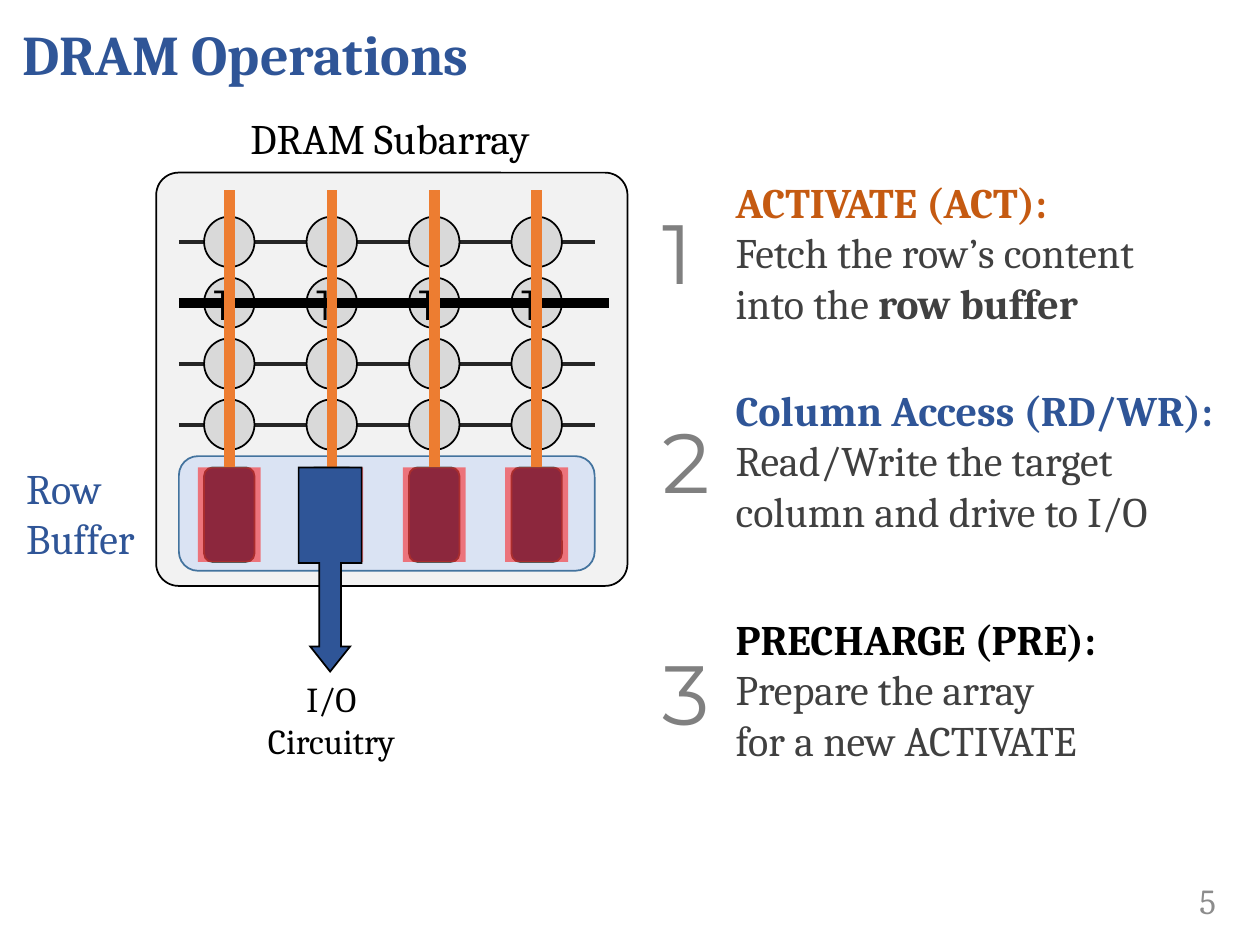
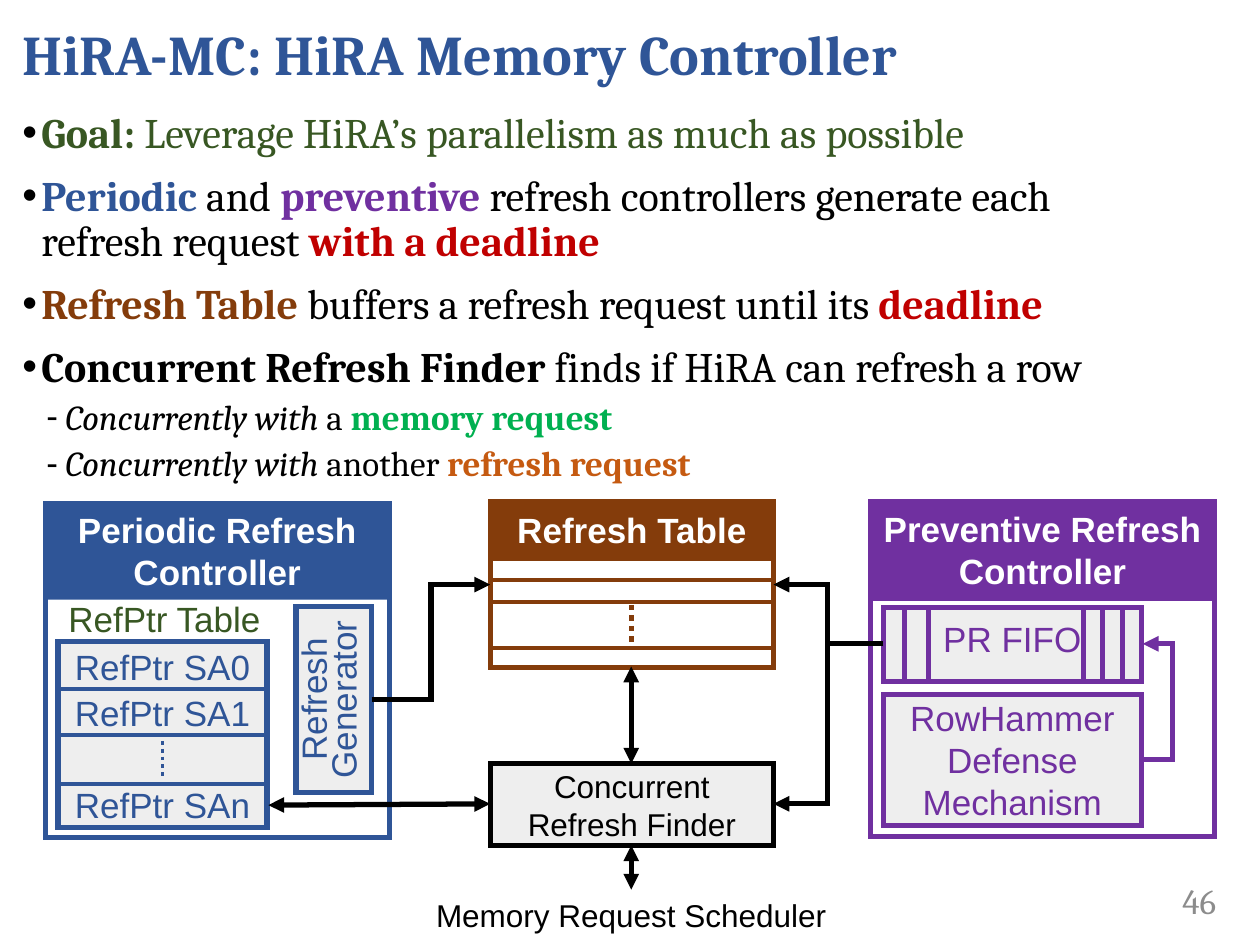
from lxml import etree
from pptx import Presentation
from pptx.dml.color import RGBColor
from pptx.enum import dml, shapes, text
from pptx.oxml import ns
from pptx.util import Inches, Pt

COLORS = {
    "blue": "2F5597", "purple": "7030A0", "brown": "843C0B", "rust": "C55A11",
    "green": "385723", "lime": "00B050", "red": "C00000", "orange": "ED7D31",
    "black": "000000", "white": "FFFFFF", "ink": "404040", "wire": "262626",
    "number": "8C8C8C", "step": "808080", "panel": "EEEEEE", "array": "F2F2F2",
    "buffer": "DAE3F3", "buffer edge": "43739E", "cell": "D9D9D9",
    "sense amp": "1F4E79", "amp edge": "595959", "highlight": "FF0000",
}
SERIF, SANS, DIGITS = "Cambria", "Arial", "Montserrat"
CENTER, RIGHT = text.PP_ALIGN.CENTER, text.PP_ALIGN.RIGHT
TOP, MIDDLE = text.MSO_ANCHOR.TOP, text.MSO_ANCHOR.MIDDLE
RECT = shapes.MSO_SHAPE.RECTANGLE
ROUNDED = shapes.MSO_SHAPE.ROUNDED_RECTANGLE


def rgb(name):
    return RGBColor.from_string(COLORS[name])


def child(parent, tag, **attributes):
    return etree.SubElement(parent, ns.qn(tag), attributes)


def style_line(line, color, width, dotted=False):
    line.color.rgb = rgb(color)
    line.width = Pt(width)
    if dotted:
        line.dash_style = dml.MSO_LINE.ROUND_DOT
    outline = line._get_or_add_ln()
    child(outline, "a:miter", lim="800000")
    return outline


def add_bullet(paragraph, mark, indent):
    properties = paragraph._p.get_or_add_pPr()
    properties.set("marL", str(Inches(indent)))
    properties.set("indent", str(Inches(-0.15)))
    child(child(properties, "a:buClr"), "a:srgbClr", val=COLORS["black"])
    child(properties, "a:buFont", typeface=SANS)
    child(properties, "a:buChar", char=mark)


def set_font(font, color=None, bold=None, italic=None):
    if color:
        font.color.rgb = rgb(color)
    if bold is not None:
        font.bold = bold
    if italic is not None:
        font.italic = italic


def fill_paragraph(paragraph, content, size, color, face, bold=None):
    paragraph.font.size = Pt(size)
    paragraph.font.name = face
    set_font(paragraph.font, color, bold)
    runs = [(content, {})] if isinstance(content, str) else content
    for words, style in runs:
        for index, line in enumerate(words.split("\n")):
            if index:
                paragraph.add_line_break()
            if line:
                run = paragraph.add_run()
                run.text = line
                set_font(run.font, **style)


def write(shape, paragraphs, size, color, face=SERIF, bold=None, align=None,
          anchor=TOP, inset=0.1, spacing=None):
    frame = shape.text_frame
    frame.word_wrap = True
    frame.vertical_anchor = anchor
    frame.margin_left = frame.margin_right = Inches(inset)
    for index, content in enumerate(paragraphs):
        paragraph = frame.add_paragraph() if index else frame.paragraphs[0]
        paragraph.alignment = align
        if spacing:
            paragraph.line_spacing = spacing
        fill_paragraph(paragraph, content, size, color, face, bold)


def add_text(slide, at, paragraphs, size, color, **style):
    box = slide.shapes.add_textbox(*map(Inches, at))
    write(box, paragraphs, size, color, **style)


def add_block(slide, at, fill=None, edge=None, width=1, kind=RECT):
    block = slide.shapes.add_shape(kind, *map(Inches, at))
    block.shadow.inherit = False
    if fill:
        block.fill.solid()
        block.fill.fore_color.rgb = rgb(fill)
    else:
        block.fill.background()
    if edge:
        style_line(block.line, edge, width)
    else:
        block.line.fill.background()
    return block


def add_line(slide, start, end, color, width, dotted=False, head=False,
             tail=False, bend=None):
    elbow = bend is not None
    kind = shapes.MSO_CONNECTOR.ELBOW if elbow else shapes.MSO_CONNECTOR.STRAIGHT
    line = slide.shapes.add_connector(kind, *map(Inches, (*start, *end)))
    properties = line._element.spPr
    if elbow:
        share = round((bend - start[0]) / (end[0] - start[0]) * 100000)
        guides = properties.find(ns.qn("a:prstGeom")).find(ns.qn("a:avLst"))
        child(guides, "a:gd", name="adj1", fmla=f"val {share}")
    outline = style_line(line.line, color, width, dotted)
    if head:
        child(outline, "a:headEnd", type="triangle")
    if tail:
        child(outline, "a:tailEnd", type="triangle")
    child(properties, "a:effectLst")


def add_slide(deck, title, number):
    slide = deck.slides.add_slide(deck.slide_layouts[6])
    add_text(slide, (8.67, 6.95, 1.08, 0.4), [number], 20, "number",
             align=RIGHT, anchor=MIDDLE)
    add_text(slide, (0.08, 0, 9.83, 0.84), [title], 32, "blue", bold=True,
             anchor=MIDDLE)
    return slide


def add_subarray(slide):
    bitlines = [1.82 + 2.44 / 3 * i for i in range(4)]
    wordlines = [1.92 + 1.45 / 3 * i for i in range(4)]
    array = add_block(slide, (1.24, 1.37, 3.74, 3.28), "array", "black", kind=ROUNDED)
    array.adjustments[0] = 0.054
    add_block(slide, (1.42, 3.62, 3.3, 0.91), "buffer", "buffer edge", kind=ROUNDED)
    for y in wordlines:
        add_line(slide, (1.42, y), (4.72, y), "wire", 2.25)
    for x in bitlines:
        add_block(slide, (x - 0.2, 3.71, 0.4, 0.75), "sense amp", "amp edge",
                  kind=ROUNDED)
        add_line(slide, (x, 1.51), (x, 3.71), "wire", 2.25)
        for y in wordlines:
            add_block(slide, (x - 0.2, y - 0.2, 0.4, 0.4), "cell", "black",
                      kind=shapes.MSO_SHAPE.OVAL)
    for x in bitlines:
        add_text(slide, (x - 0.22, 2.16, 0.43, 0.5), ["1"], 24, "black", face=DIGITS)
    add_line(slide, (1.42, wordlines[1]), (4.83, wordlines[1]), "black", 6)
    for x in bitlines:
        add_line(slide, (x, 1.51), (x, 3.71), "orange", 6)
    for x in bitlines:
        glow = add_block(slide, (x - 0.25, 3.71, 0.5, 0.75), "highlight")
        tint = glow._element.spPr.find(ns.qn("a:solidFill"))[0]
        child(tint, "a:alpha", val="49000")


def add_operations_slide(deck):
    slide = add_slide(deck, "DRAM Operations", "5")
    add_subarray(slide)
    add_text(slide, (1.82, 5.33, 1.62, 0.77), ["I/O Circuitry"], 20, "black",
             align=CENTER)
    column_read = add_block(slide, (1.81, 4.27, 1.62, 0.5), "blue", "black",
                            kind=shapes.MSO_SHAPE.RIGHT_ARROW_CALLOUT)
    column_read.rotation = 90
    for index, value in enumerate((0.348, 0.316, 0.398, 0.468)):
        column_read.adjustments[index] = value
    add_text(slide, (0.11, 3.62, 1.17, 0.91), ["Row", "Buffer"], 24, "blue")
    add_text(slide, (1.28, 0.84, 3.63, 0.5), ["DRAM Subarray"], 24, "black",
             align=CENTER)
    operations = [
        (1.35, 1.54, "ACTIVATE (ACT):", "rust",
         [("Fetch the row’s content\ninto the ", {}), ("row buffer", {"bold": True})]),
        (3, 3.2, "Column Access (RD/WR):", "blue",
         "Read/Write the target\ncolumn and drive to I/O"),
        (4.82, 5.04, "PRECHARGE (PRE):", "black",
         "Prepare the array\nfor a new ACTIVATE"),
    ]
    for step, (top, digit_top, name, color, effect) in enumerate(operations, 1):
        heading = [(name, {"color": color, "bold": True})]
        add_text(slide, (5.74, top, 4.17, 1.31), [heading, effect], 24, "ink")
        add_text(slide, (5.16, digit_top, 0.65, 0.91), [str(step)], 48, "step",
                 face=DIGITS)


def add_points(slide):
    def strong(color):
        return {"color": color, "bold": True}

    slanted = {"italic": True}
    points = [
        (0, [("Goal: ", strong("green")),
             ("Leverage HiRA’s parallelism as much as possible", {"color": "green"})]),
        (0, [("Periodic", strong("blue")), (" and ", {}),
             ("preventive", strong("purple")),
             (" refresh controllers generate each\nrefresh request ", {}),
             ("with a deadline", strong("red"))]),
        (0, [("Refresh Table ", strong("brown")),
             ("buffers a refresh request until its ", {}),
             ("deadline", strong("red"))]),
        (0, [("Concurrent Refresh Finder ", strong("black")),
             ("finds if HiRA can refresh a row", {})]),
        (1, [("Concurrently with ", slanted), ("a", {}),
             (" memory request", strong("lime"))]),
        (1, [("Concurrently with ", slanted), ("another", {}),
             (" refresh request", strong("rust"))]),
    ]
    frame = slide.shapes.add_textbox(*map(Inches, (0.08, 0.84, 9.83, 3.36))).text_frame
    frame.word_wrap = True
    for index, (level, runs) in enumerate(points):
        point = frame.add_paragraph() if index else frame.paragraphs[0]
        point.level = level
        point.line_spacing = 0.9
        if index:
            point.space_before = Pt(5 if level else 10)
        add_bullet(point, "•-"[level], (0.15, 0.34)[level])
        fill_paragraph(point, runs, (24, 20)[level], "black", SERIF)


def add_banner(slide, at, title, color, edge=None):
    banner = add_block(slide, at, color, edge, 3)
    write(banner, [title], 20, "white", face=SANS, bold=True, align=CENTER, inset=0.05)


def add_label(slide, at, paragraphs, color, size=20, anchor=TOP):
    add_text(slide, at, paragraphs, size, color, face=SANS, align=CENTER, anchor=anchor)


def add_panel(slide, at, color, label=None, size=20, spacing=None):
    panel = add_block(slide, at, "panel", color, 3)
    if label:
        write(panel, [label], size, color, face=SANS, align=CENTER, anchor=MIDDLE,
              spacing=spacing)
    return panel


def add_periodic_controller(slide):
    add_block(slide, (0.36, 4, 2.73, 2.65), "white", "blue", 3)
    generator = add_panel(slide, (1.91, 5.25, 1.48, 0.6), "blue",
                          "Refresh Generator", spacing=Pt(17))
    generator.rotation = 270
    add_panel(slide, (0.46, 5.09, 1.66, 1.48), "blue")
    add_label(slide, (0.36, 4.69, 1.89, 0.44), ["RefPtr Table"], "green")
    for top, entry in ((5.07, "SA0"), (5.44, "SA1"), (6.17, "SAn")):
        add_label(slide, (0.45, top, 1.68, 0.44), [f"RefPtr {entry}"], "blue")
    for y in (5.47, 5.83, 6.22):
        add_line(slide, (0.46, y), (2.12, y), "blue", 2.25)
    add_line(slide, (1.29, 5.88), (1.29, 6.17), "blue", 2.25, dotted=True)
    add_banner(slide, (0.36, 3.99, 2.73, 0.77), "Periodic Refresh\nController", "blue")


def add_preventive_controller(slide):
    add_block(slide, (6.91, 3.99, 2.73, 2.65), "white", "purple", 3)
    add_panel(slide, (7.01, 4.82, 2.05, 0.59), "purple", "PR FIFO", spacing=Pt(17))
    add_panel(slide, (7.01, 5.51, 2.05, 1.04), "purple")
    add_label(slide, (7.01, 5.48, 2.05, 1.11), ["RowHammer", "Defense Mechanism"],
              "purple")
    add_banner(slide, (6.91, 3.98, 2.73, 0.77), "Preventive Refresh\nController",
               "purple", "purple")
    add_line(slide, (9.06, 6.03), (9.07, 5.11), "purple", 3, tail=True, bend=9.31)
    for x in (7.18, 7.37, 8.6, 8.75, 8.91):
        add_line(slide, (x, 4.82), (x, 5.41), "purple", 3)


def add_refresh_table(slide):
    add_block(slide, (3.89, 3.98, 2.25, 1.32), edge="brown", width=3)
    add_line(slide, (5.01, 4.8), (5.01, 5.13), "brown", 3, dotted=True)
    add_banner(slide, (3.89, 3.99, 2.25, 0.44), "Refresh Table", "brown", "brown")
    for y in (4.6, 4.78, 5.14):
        add_line(slide, (3.89, y), (6.14, y), "brown", 2.25)


def add_controller_slide(deck):
    slide = add_slide(deck, "HiRA-MC: HiRA Memory Controller", "46")
    add_points(slide)
    add_periodic_controller(slide)
    add_preventive_controller(slide)
    add_panel(slide, (3.89, 6.06, 2.25, 0.65), "black", "Concurrent Refresh Finder", 18)
    add_refresh_table(slide)
    for start, end, bend in (((7.01, 5.11), (6.14, 4.64), 6.57),
                             ((2.95, 5.55), (3.89, 4.64), 3.42),
                             ((7.01, 5.11), (6.14, 6.38), 6.57)):
        add_line(slide, start, end, "black", 3, tail=True, bend=bend)
    for start, end in (((2.13, 6.39), (3.89, 6.38)), ((5.01, 5.29), (5.01, 6.06)),
                       ((5.01, 6.71), (5.01, 7.06))):
        add_line(slide, start, end, "black", 3, head=True, tail=True)
    add_label(slide, (3.1, 7.06, 3.82, 0.4), ["Memory Request Scheduler"], "black",
              18, MIDDLE)


def main():
    deck = Presentation()
    deck.slide_width, deck.slide_height = Inches(10), Inches(7.5)
    add_operations_slide(deck)
    add_controller_slide(deck)
    deck.save("out.pptx")


if __name__ == "__main__":
    main()
